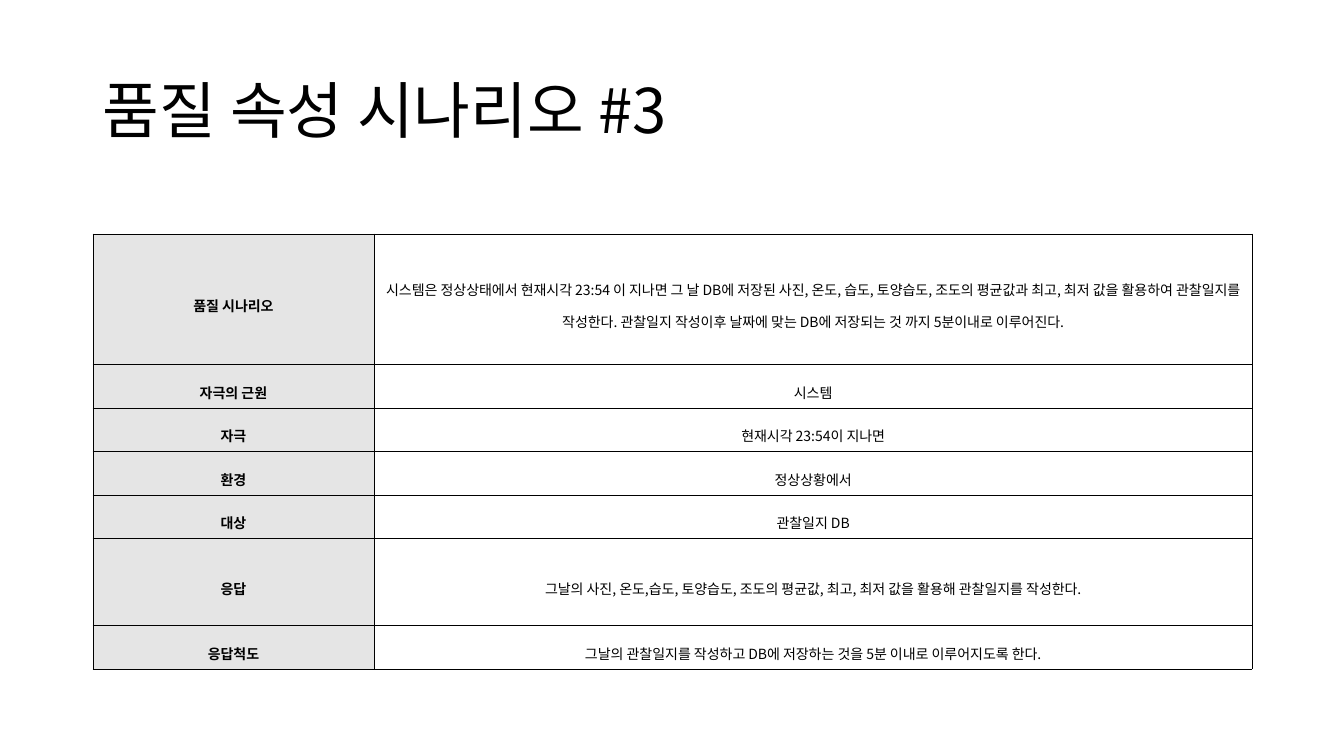
from lxml.etree import SubElement
from pptx import Presentation
from pptx.dml.color import RGBColor
from pptx.enum.text import MSO_ANCHOR as Anchor, MSO_AUTO_SIZE as AutoSize, PP_ALIGN as Align
from pptx.oxml.ns import qn
from pptx.util import Inches, Pt

TITLE = "품질 속성 시나리오 #3"
SCENARIO = [
    ("품질 시나리오", "시스템은 정상상태에서 현재시각 23:54 이 지나면 그 날 DB에 저장된 사진, 온도, 습도, 토양습도, "
     "조도의 평균값과 최고, 최저 값을 활용하여 관찰일지를 작성한다. 관찰일지 작성이후 날짜에 맞는 "
     "DB에 저장되는 것 까지 5분이내로 이루어진다.", 3),
    ("자극의 근원", "시스템", 1),
    ("자극", "현재시각 23:54이 지나면", 1),
    ("환경", "정상상황에서", 1),
    ("대상", "관찰일지 DB", 1),
    ("응답", "그날의 사진, 온도,습도, 토양습도, 조도의 평균값, 최고, 최저 값을 활용해 관찰일지를 작성한다.", 2),
    ("응답척도", "그날의 관찰일지를 작성하고 DB에 저장하는 것을 5분 이내로 이루어지도록 한다.", 1),
]
COLORS = {"ink": "000000", "label": "E5E5E5"}
FONT = "Noto Sans CJK KR"
LEFT, WIDTH = 0.92, 11.5
COLUMNS = (2.79, 8.71)
TABLE_TOP, TABLE_HEIGHT = 2.32, 4.32


def write(frame, text, size, bold=False, align=Align.LEFT, spacing=1.0):
    para = frame.paragraphs[0]
    para.alignment = align
    para.line_spacing = spacing
    span = para.add_run()
    span.text = text
    span.font.size = Pt(size)
    span.font.bold = bold
    span.font.color.rgb = RGBColor.from_string(COLORS["ink"])
    span.font.name = FONT
    SubElement(span.font._element, qn("a:ea"), typeface=FONT)


def add_borders(cell, width=0.28):
    properties = cell._tc.get_or_add_tcPr()
    for side in ("lnL", "lnR", "lnT", "lnB"):
        line = SubElement(properties, qn(f"a:{side}"), w=str(Pt(width)))
        fill = SubElement(line, qn("a:solidFill"))
        SubElement(fill, qn("a:srgbClr"), val=COLORS["ink"])


def add_title(page):
    title = page.shapes.title
    title.left, title.top = Inches(LEFT), Inches(0.4)
    title.width, title.height = Inches(WIDTH), Inches(1.45)
    frame = title.text_frame
    frame.auto_size = AutoSize.NONE
    frame.vertical_anchor = Anchor.MIDDLE
    write(frame, TITLE, 44, spacing=0.9)


def add_scenario_table(page):
    table = page.shapes.add_table(
        len(SCENARIO), len(COLUMNS), Inches(LEFT), Inches(TABLE_TOP),
        Inches(WIDTH), Inches(TABLE_HEIGHT)).table
    for column, width in zip(table.columns, COLUMNS):
        column.width = Inches(width)
    unit = TABLE_HEIGHT / sum(lines for _, _, lines in SCENARIO)
    for row, (label, detail, lines) in zip(table.rows, SCENARIO):
        row.height = Inches(unit * lines)
        for cell, text, is_label in zip(row.cells, (label, detail), (True, False)):
            cell.vertical_anchor = Anchor.MIDDLE
            cell.margin_left = cell.margin_right = Inches(0.07)
            cell.margin_top = cell.margin_bottom = Inches(0.02)
            add_borders(cell)
            if is_label:
                cell.fill.solid()
                cell.fill.fore_color.rgb = RGBColor.from_string(COLORS["label"])
            else:
                cell.fill.background()
            write(cell.text_frame, text, 10, bold=is_label, align=Align.CENTER, spacing=1.6)


def main():
    deck = Presentation()
    deck.slide_width, deck.slide_height = Inches(13.33), Inches(7.5)
    page = deck.slides.add_slide(deck.slide_layouts[5])
    add_title(page)
    add_scenario_table(page)
    deck.save("out.pptx")


if __name__ == "__main__":
    main()
